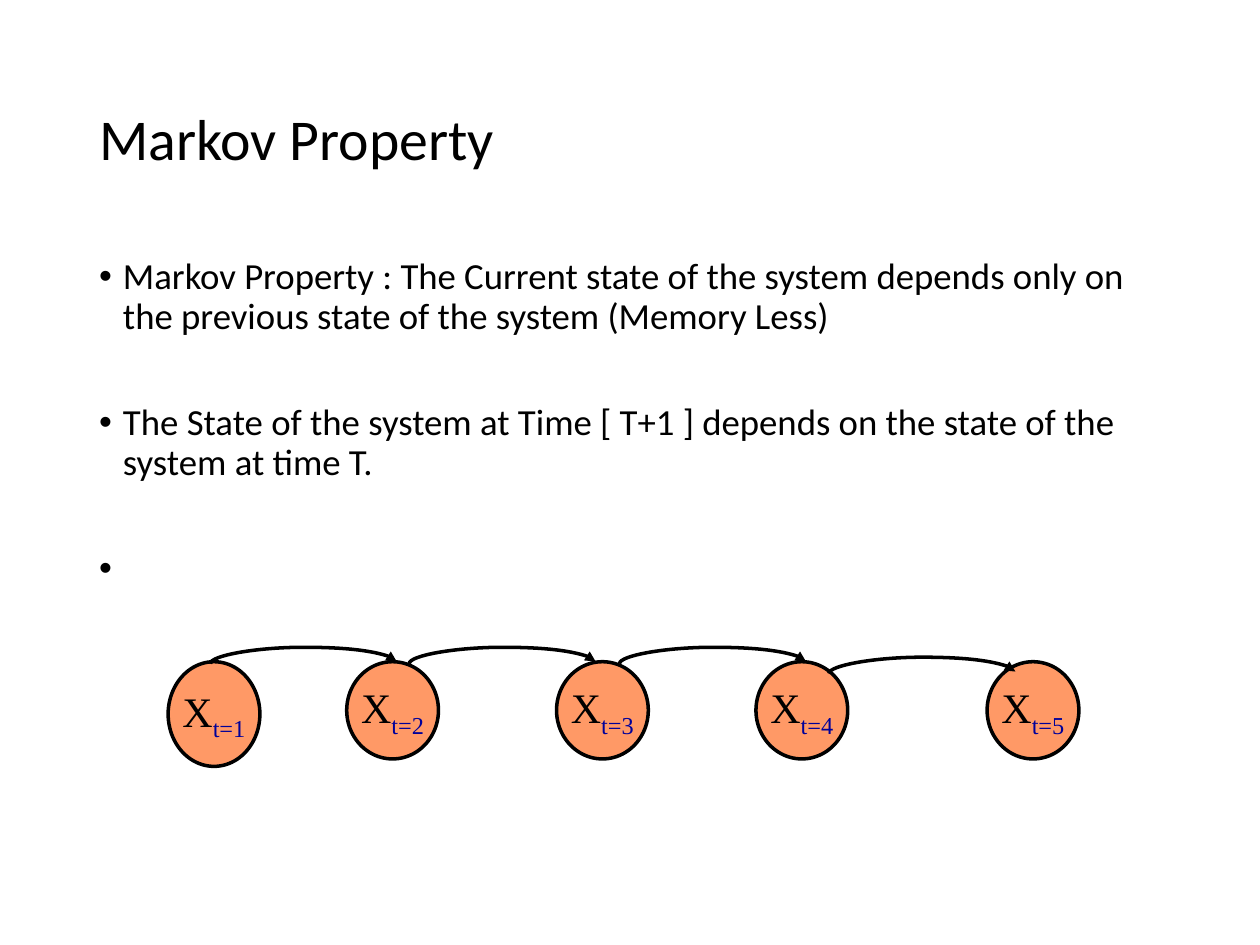
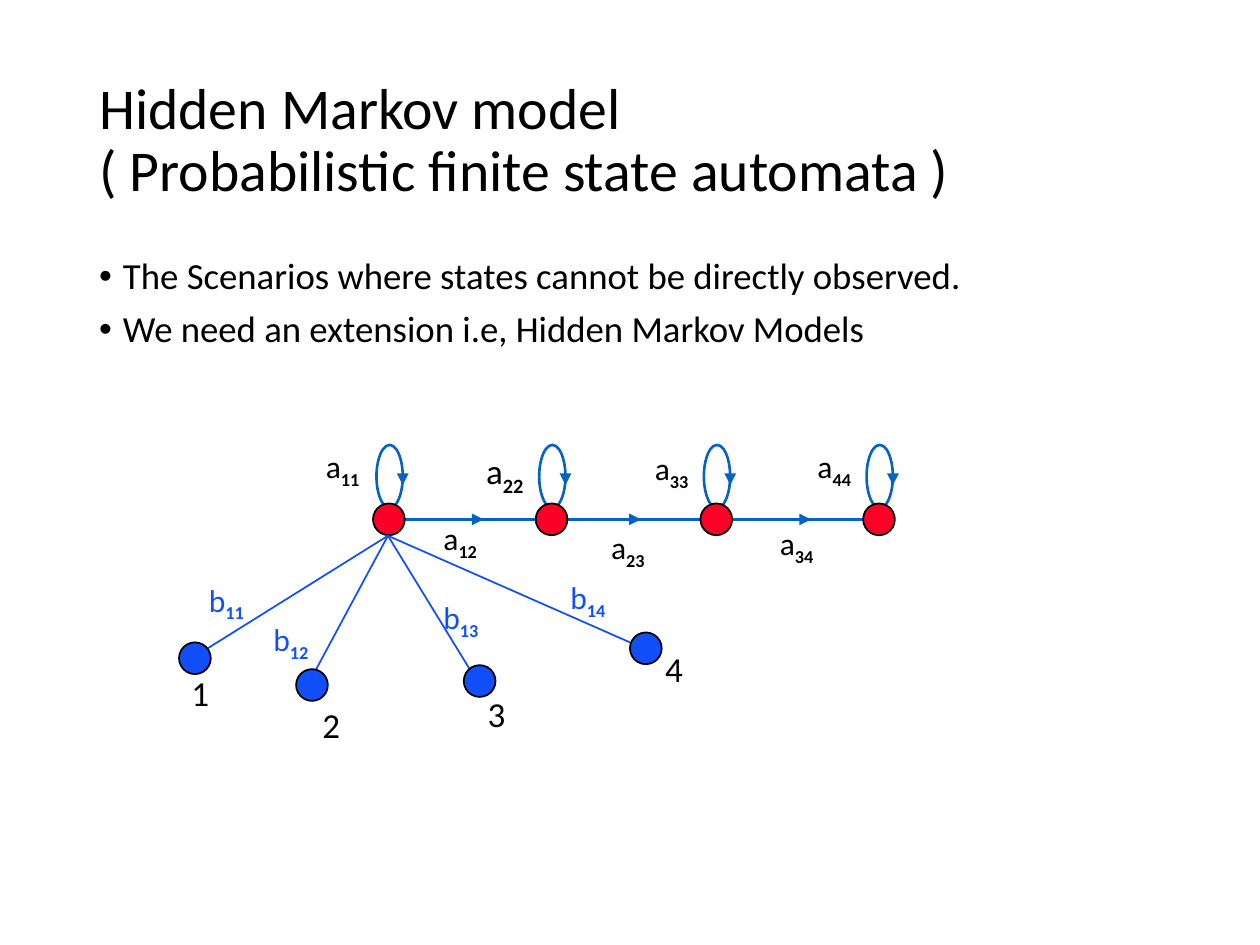
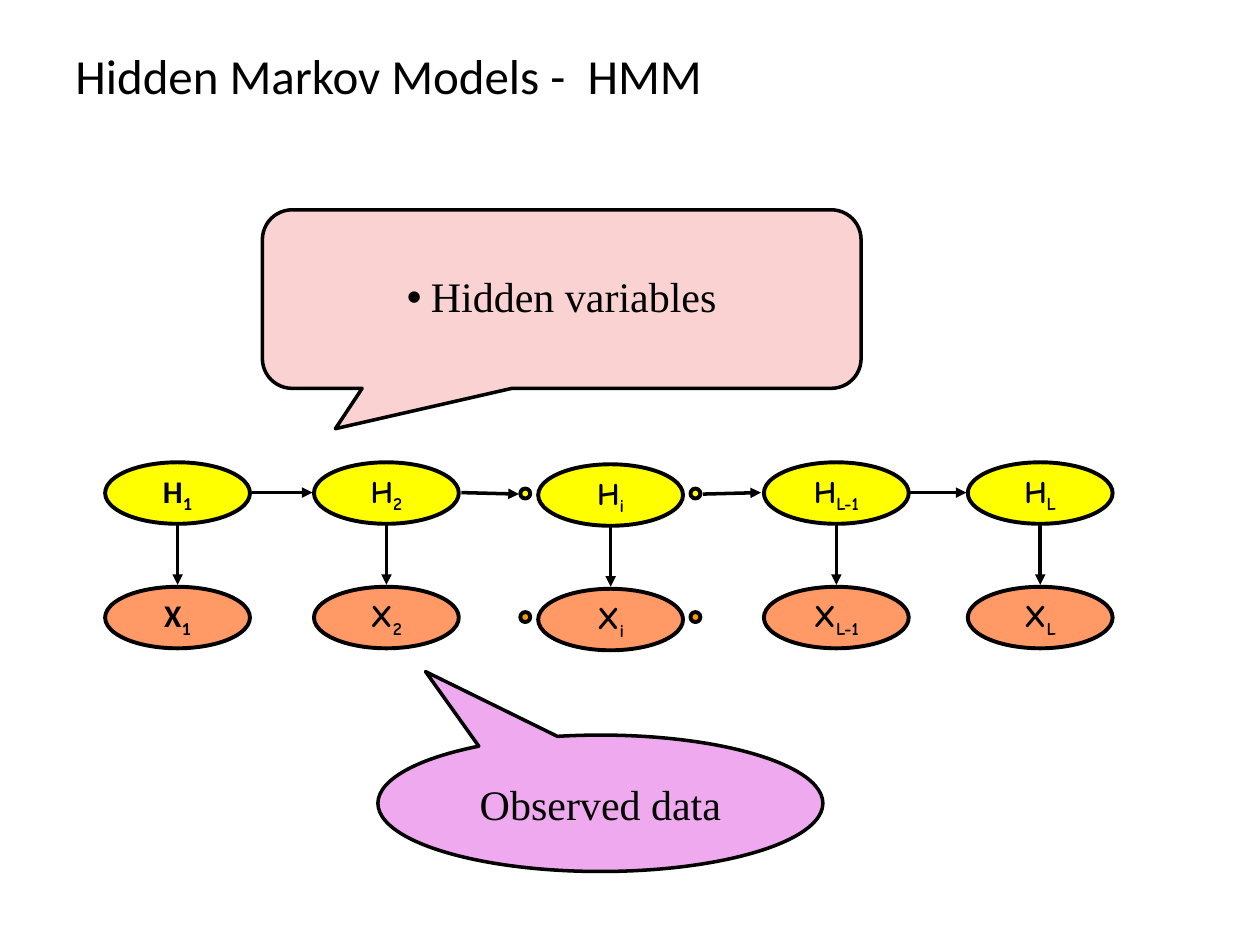
"""Build three slides on the Markov property and hidden Markov models."""
from dataclasses import dataclass
from itertools import pairwise
from typing import Optional

from lxml.etree import SubElement
from pptx import Presentation
from pptx.dml.color import RGBColor
from pptx.enum.shapes import MSO_CONNECTOR, MSO_SHAPE
from pptx.enum.text import MSO_ANCHOR, PP_ALIGN
from pptx.oxml.ns import qn
from pptx.shapes.autoshape import Shape
from pptx.shapes.connector import Connector
from pptx.slide import Slide
from pptx.util import Cm, Pt

COLORS = {
    "white": "FFFFFF",
    "black": "000000",
    "orange": "FF9966",
    "navy": "000099",
    "link": "0563C1",
    "red": "FC0128",
    "blue": "114FFB",
    "yellow": "FFFF00",
    "amber": "FF9900",
    "pink": "FAD2D2",
    "violet": "EFA9EF",
}
SANS, SERIF, COMIC = "Calibri", "Times New Roman", "Comic Neue"
NODE = 0.64


@dataclass(frozen=True)
class TimeStep:
    left: float
    height: float = 1.96


@dataclass(frozen=True)
class Label:
    left: float
    top: float
    letter: str
    index: str = ""
    size: float = 18
    color: str = "black"


@dataclass(frozen=True)
class Emission:
    node: tuple[float, float]
    line_end: tuple[float, float]
    number: tuple[float, float]
    label: tuple[float, float]


@dataclass(frozen=True)
class Column:
    index: str
    left: float
    font: str = COMIC
    drop: float = 0


TIME_STEPS = [TimeStep(3.39, 2.11), TimeStep(6.99), TimeStep(11.22),
              TimeStep(15.24), TimeStep(19.9)]
STEP_ARCS = [(4.24, 13.34), (8.25, 13.34), (12.49, 13.34), (16.71, 13.54)]
STATES = [7.52, 10.8, 14.12, 17.4]
LINK_ARROWS = [9.53, 12.7, 16.13]
TRANSITIONS = [
    Label(6.32, 8.89, "a", "11"),
    Label(9.55, 8.94, "a", "22", 20),
    Label(12.95, 8.92, "a", "33"),
    Label(16.23, 8.89, "a", "44"),
    Label(8.69, 10.34, "a", "12"),
    Label(12.07, 10.52, "a", "23"),
    Label(15.47, 10.44, "a", "34"),
]
EMISSIONS = [
    Emission((3.61, 12.95), (4.09, 13.13), (3.61, 13.41), (3.96, 11.58)),
    Emission((5.97, 13.49), (6.32, 13.59), (6.25, 14.05), (5.26, 12.37)),
    Emission((9.35, 13.41), (9.53, 13.59), (9.58, 13.84), (8.69, 11.94)),
    Emission((12.7, 12.75), (12.7, 12.95), (13.16, 12.93), (11.25, 11.53)),
]
COLUMNS = [
    Column("1", 2.12, SANS),
    Column("2", 6.33),
    Column("i", 10.85, drop=0.04),
    Column("L-1", 15.4),
    Column("L", 19.51),
]
HIDDEN_ARROWS = [
    ((5.08, 9.93), (6.3, 9.93)),
    ((9.3, 9.93), (10.46, 9.96)),
    ((14.17, 9.96), (15.34, 9.93)),
    ((18.34, 9.93), (19.48, 9.93)),
]


def rgb(color: str) -> RGBColor:
    return RGBColor.from_string(COLORS[color])


def write(shape: Shape, text: str, *, sub: str = "", size: float = 18,
          font: str = SANS, color: str = "black", bold: bool = False,
          sub_color: Optional[str] = None, sub_bold: Optional[bool] = None,
          align: PP_ALIGN = PP_ALIGN.LEFT, anchor: MSO_ANCHOR = MSO_ANCHOR.TOP,
          wrap: bool = True, bullet: bool = False, before: float = 0,
          spacing: float = 1) -> None:
    frame = shape.text_frame
    frame.word_wrap = wrap
    frame.vertical_anchor = anchor
    paragraph = frame.add_paragraph() if frame.text else frame.paragraphs[0]
    if bullet:
        props = paragraph._p.get_or_add_pPr()
        props.set("marL", str(Cm(0.48)))
        props.set("indent", str(-Cm(0.48)))
        SubElement(props, qn("a:buFont"), typeface="Arial")
        SubElement(props, qn("a:buChar"), char="•")
    paragraph.alignment = align
    paragraph.line_spacing = spacing
    paragraph.space_before = Pt(before)

    def add_run(words: str, run_color: str, run_bold: bool, baseline: int = 0) -> None:
        run = paragraph.add_run()
        run.text = words
        run.font.size = Pt(size)
        run.font.name = font
        run.font.bold = run_bold
        run.font.color.rgb = rgb(run_color)
        if baseline:
            run._r.get_or_add_rPr().set("baseline", str(baseline))

    for number, line in enumerate(text.split("\n")):
        if number:
            paragraph.add_line_break()
        add_run(line, color, bold)
    if sub:
        add_run(sub, sub_color or color, bold if sub_bold is None else sub_bold, -25000)


def add_box(slide: Slide, left: float, top: float, width: float, height: float) -> Shape:
    return slide.shapes.add_textbox(Cm(left), Cm(top), Cm(width), Cm(height))


def add_title(slide: Slide, text: str, left: float = 1.75, top: float = 1.02,
              width: float = 21.9, height: float = 3.68, size: float = 33) -> None:
    write(add_box(slide, left, top, width, height), text, size=size,
          anchor=MSO_ANCHOR.MIDDLE, spacing=0.9)


def add_bullets(slide: Slide, points: list[str], before: float) -> None:
    body = add_box(slide, 1.75, 5.08, 21.9, 12.09)
    for number, point in enumerate(points):
        write(body, point, size=21, bullet=True, spacing=0.9,
              before=before if number else 0)


def add_figure(slide: Slide, left: float, top: float, width: float, height: float,
               fill: Optional[str], line: str = "black", weight: float = 1,
               kind: MSO_SHAPE = MSO_SHAPE.OVAL,
               adjustments: tuple[float, ...] = ()) -> Shape:
    figure = slide.shapes.add_shape(kind, Cm(left), Cm(top), Cm(width), Cm(height))
    figure.shadow.inherit = False
    if fill:
        figure.fill.solid()
        figure.fill.fore_color.rgb = rgb(fill)
    else:
        figure.fill.background()
    figure.line.color.rgb = rgb(line)
    figure.line.width = Pt(weight)
    for number, value in enumerate(adjustments):
        figure.adjustments[number] = value
    return figure


def add_line(slide: Slide, start: tuple[float, float], end: tuple[float, float],
             color: str = "black", weight: float = 2, arrow: bool = True,
             kind: MSO_CONNECTOR = MSO_CONNECTOR.STRAIGHT) -> Connector:
    connector = slide.shapes.add_connector(kind, *map(Cm, start + end))
    connector.line.color.rgb = rgb(color)
    connector.line.width = Pt(weight)
    if arrow:
        SubElement(connector.line._get_or_add_ln(), qn("a:tailEnd"), type="triangle")
    SubElement(connector._element.spPr, qn("a:effectLst"))
    return connector


def add_arc(slide: Slide, left: float, top: float) -> None:
    span, rise = 3.76, 0.04
    middle_x, middle_y = left + span / 2, top + rise / 2
    arc = add_line(slide, (middle_x + rise / 2, middle_y + span / 2),
                   (middle_x - rise / 2, middle_y - span / 2),
                   kind=MSO_CONNECTOR.CURVE)
    properties = arc._element.spPr
    properties.xfrm.set("rot", "5400000")
    guides = properties.find(qn("a:prstGeom")).get_or_add_avLst()
    SubElement(guides, qn("a:gd"), name="adj1", fmla="val 825000")


def add_label(slide: Slide, label: Label) -> None:
    write(add_box(slide, label.left, label.top, 1.47, 1.05), label.letter,
          sub=label.index, size=label.size, color=label.color, sub_bold=True)


def build_markov_property(slide: Slide) -> None:
    add_title(slide, "Markov Property")
    add_bullets(slide, [
        "Markov Property : The Current state of the system depends only on "
        "the previous state of the system (Memory Less)",
        "The State of the system at Time [ T+1 ] depends on the state of the "
        "system at time T.",
        " ",
    ], before=38)
    for number, step in enumerate(TIME_STEPS, 1):
        circle = add_figure(slide, step.left, 13.34, 1.85, step.height, "orange", weight=2)
        write(circle, "X", sub=f"t={number}", size=24, font=SERIF, sub_color="navy",
              align=PP_ALIGN.CENTER, anchor=MSO_ANCHOR.MIDDLE, wrap=False)
    for left, top in STEP_ARCS:
        add_arc(slide, left, top)


def build_automaton(slide: Slide) -> None:
    add_title(slide, "Hidden Markov model\n( Probabilistic finite state automata )")
    add_bullets(slide, [
        "The Scenarios where states cannot be directly observed.",
        "We need an extension i.e, Hidden Markov Models",
    ], before=7.5)
    axis = 10.47
    for left in STATES:
        add_figure(slide, left + 0.07, 8.97, 0.53, 1.27, None, "link", 1.5)
        add_line(slide, (left + 0.6, 9.58), (left + 0.6, 9.78), "link", 2.25)
    for (left, following), arrow in zip(pairwise(STATES), LINK_ARROWS):
        add_line(slide, (left + NODE, axis), (following, axis), "link", 1.5, arrow=False)
        add_line(slide, (arrow, axis), (arrow + 0.22, axis), "link", 2.25)
    for left in STATES:
        add_figure(slide, left, axis - NODE / 2, NODE, NODE, "red")
    for transition in TRANSITIONS:
        add_label(slide, transition)
    for number, emission in enumerate(EMISSIONS, 1):
        add_line(slide, (7.82, 10.8), emission.line_end, "blue", 1, arrow=False)
        add_label(slide, Label(*emission.label, "b", f"1{number}", color="blue"))
        add_figure(slide, *emission.node, NODE, NODE, "blue")
        add_label(slide, Label(*emission.number, str(number), size=20))


def build_hidden_models(slide: Slide) -> None:
    add_title(slide, "Hidden Markov Models -  HMM", 1.27, 0, 20.75, 3.18, 28)
    hidden = add_figure(slide, 5.29, 4.23, 12.07, 3.6, "pink", weight=2,
                        kind=MSO_SHAPE.ROUNDED_RECTANGULAR_CALLOUT,
                        adjustments=(-0.378, 0.726, 0.167))
    write(hidden, "Hidden variables", size=24, font=SERIF, bullet=True, spacing=0.9,
          align=PP_ALIGN.CENTER, anchor=MSO_ANCHOR.MIDDLE)
    width, height = 2.92, 1.24
    for column in COLUMNS:
        for letter, top, fill in (("H", 9.32, "yellow"), ("X", 11.83, "orange")):
            variable = add_figure(slide, column.left, top + column.drop, width, height,
                                  fill, weight=2.25)
            write(variable, letter, sub=column.index, font=column.font, bold=True,
                  align=PP_ALIGN.CENTER, anchor=MSO_ANCHOR.MIDDLE, wrap=False)
        center = column.left + width / 2
        add_line(slide, (center, 10.59 + column.drop), (center, 11.79 + column.drop))
    for left in (10.49, 13.92):
        for top, fill in ((9.85, "yellow"), (12.34, "amber")):
            add_figure(slide, left, top, 0.2, 0.2, fill, weight=2.25)
    for start, end in HIDDEN_ARROWS:
        add_line(slide, start, end)
    observed = add_figure(slide, 7.62, 14.82, 8.97, 2.75, "violet", weight=2,
                          kind=MSO_SHAPE.OVAL_CALLOUT, adjustments=(-0.393, -0.966))
    write(observed, "Observed data", size=24, font=SERIF,
          align=PP_ALIGN.CENTER, anchor=MSO_ANCHOR.MIDDLE)


def main() -> None:
    deck = Presentation()
    deck.slide_width, deck.slide_height = Cm(25.4), Cm(19.05)
    for build in (build_markov_property, build_automaton, build_hidden_models):
        slide = deck.slides.add_slide(deck.slide_layouts[6])
        slide.background.fill.solid()
        slide.background.fill.fore_color.rgb = rgb("white")
        build(slide)
    deck.save("out.pptx")


if __name__ == "__main__":
    main()
